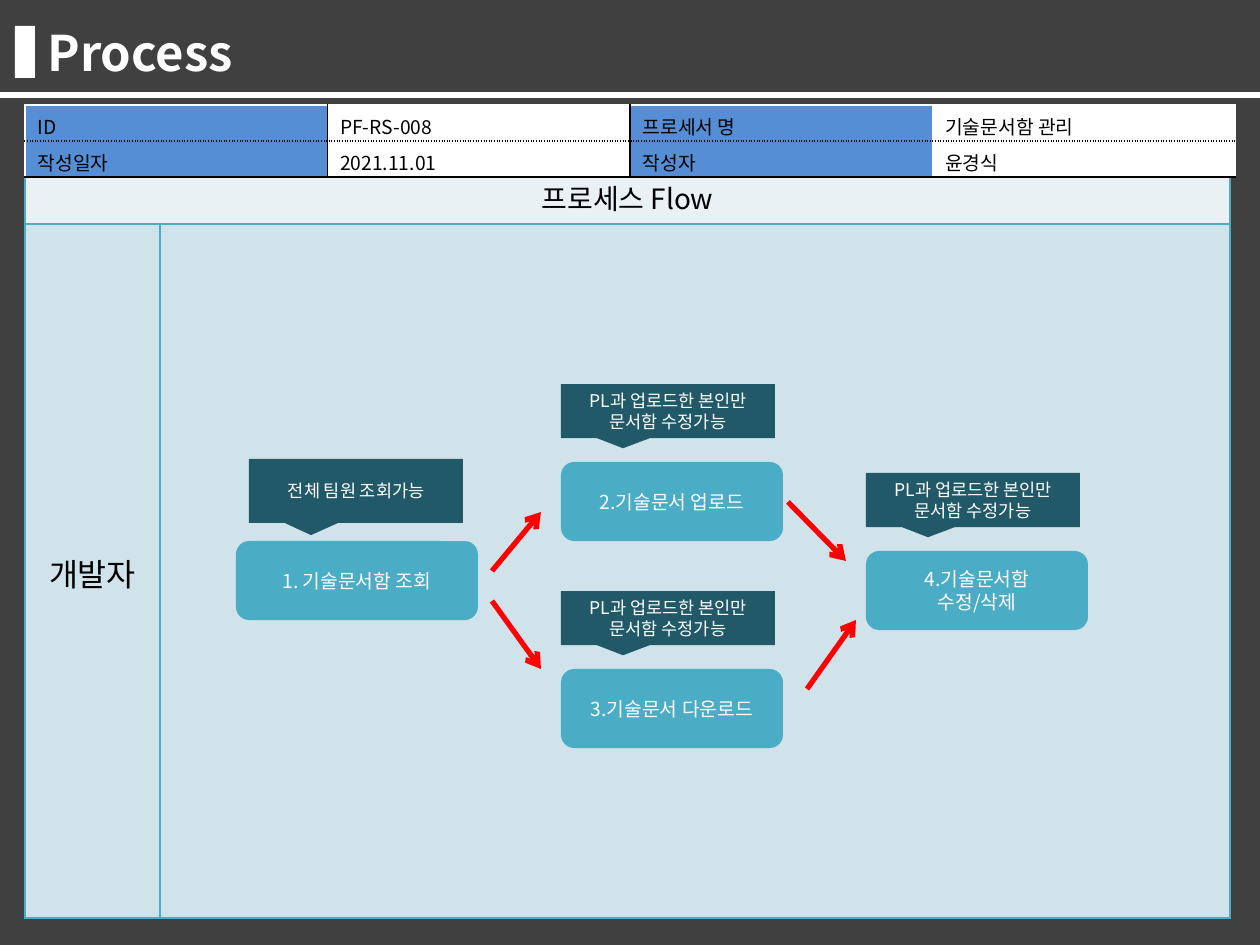
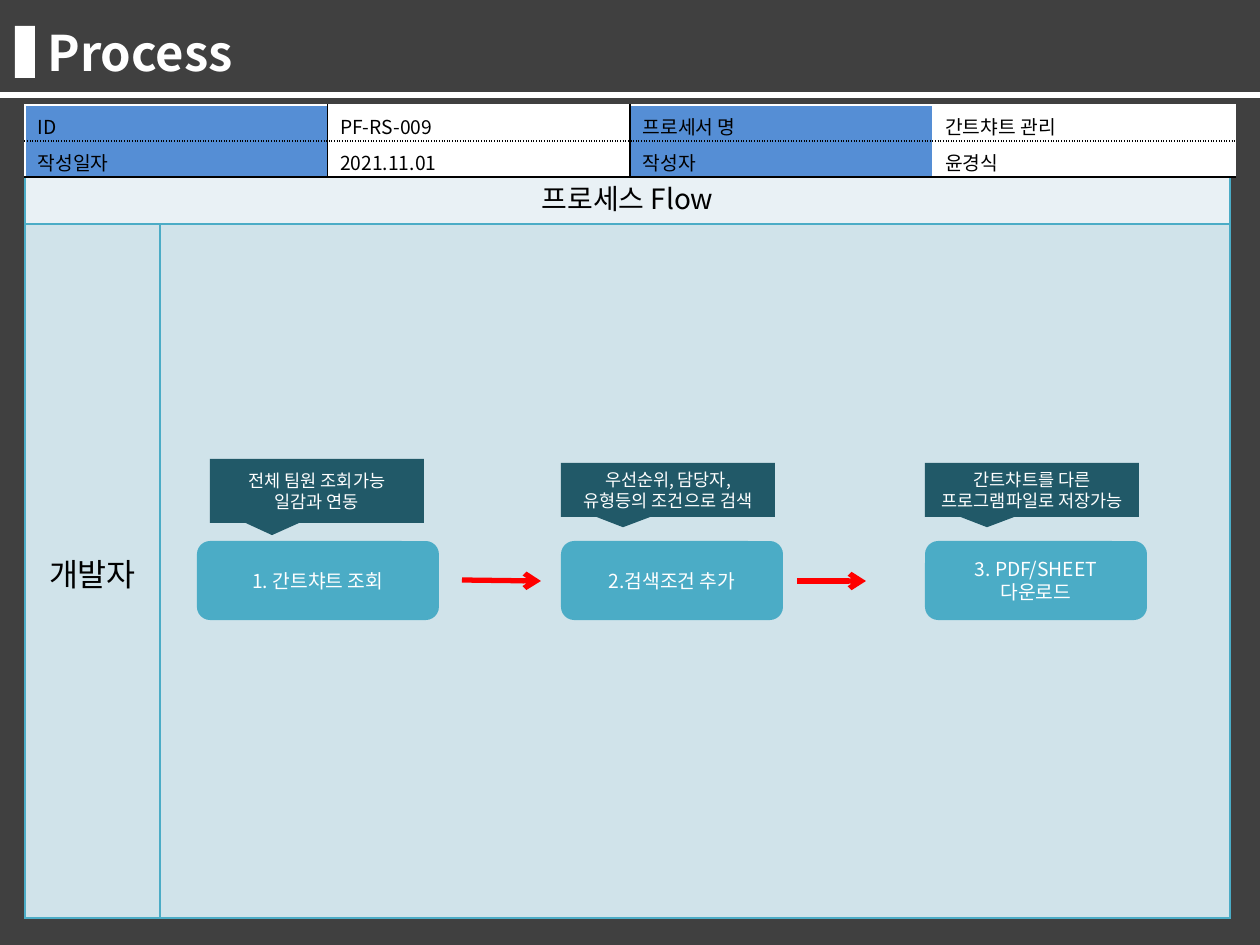
import dataclasses

import pptx
import pptx.dml.color
import pptx.enum.shapes
import pptx.enum.text
import pptx.oxml.ns
import pptx.util
from lxml import etree

RGB = pptx.dml.color.RGBColor
SHAPE = pptx.enum.shapes.MSO_SHAPE
ALIGN = pptx.enum.text.PP_ALIGN
ANCHOR = pptx.enum.text.MSO_ANCHOR
qn = pptx.oxml.ns.qn

FONT = "Noto Sans CJK KR"
WHITE = RGB(0xFF, 0xFF, 0xFF)
BLACK = RGB(0x00, 0x00, 0x00)
CHARCOAL = RGB(0x40, 0x40, 0x40)
LABEL_BLUE = RGB(0x55, 0x8E, 0xD5)
TEAL = RGB(0x4B, 0xAC, 0xC6)
DARK_TEAL = RGB(0x21, 0x59, 0x68)
HEAD_TINT = RGB(0xE9, 0xF1, 0xF5)
BODY_TINT = RGB(0xD0, 0xE3, 0xEA)
RED = RGB(0xFF, 0x00, 0x00)

EMU_PER_PIXEL = 914400 / 126
STEP_HEIGHT = 79


@dataclasses.dataclass(frozen=True)
class StepStyle:
    """Size of a step box and the place of its note above it."""
    width: int
    note_shift: int
    note_rise: int
    note_height: int


FIRST = StepStyle(242, 13, 82, 64)
LATER = StepStyle(222, 0, 78, 54)


@dataclasses.dataclass(frozen=True)
class Step:
    left: int
    top: int
    text: str
    note: str
    style: StepStyle = LATER


@dataclasses.dataclass(frozen=True)
class Arrow:
    start: tuple[int, int]
    end: tuple[int, int]


@dataclasses.dataclass(frozen=True)
class Process:
    code: str
    name: str
    steps: list[Step]
    arrows: list[Arrow]


@dataclasses.dataclass(frozen=True)
class Border:
    color: RGB
    dash: str = "solid"


EDITORS_ONLY = "PL과 업로드한 본인만 문서함 수정가능"
PROCESSES = [
    Process(
        "PF-RS-008", "기술문서함 관리",
        [
            Step(236, 541, "1. 기술문서함 조회", "전체 팀원 조회가능", FIRST),
            Step(866, 551, "4.기술문서함\n수정/삭제", EDITORS_ONLY),
            Step(561, 462, "2.기술문서 업로드", EDITORS_ONLY),
            Step(561, 669, "3.기술문서 다운로드", EDITORS_ONLY),
        ],
        [
            Arrow((492, 571), (541, 512)),
            Arrow((492, 601), (541, 669)),
            Arrow((788, 502), (846, 561)),
            Arrow((807, 689), (856, 620)),
        ],
    ),
    Process(
        "PF-RS-009", "간트챠트 관리",
        [
            Step(197, 541, "1. 간트챠트 조회", "전체 팀원 조회가능\n일감과 연동", FIRST),
            Step(925, 541, "3. PDF/SHEET\n다운로드", "간트챠트를 다른 프로그램파일로 저장가능"),
            Step(561, 541, "2.검색조건 추가", "우선순위, 담당자, 유형등의 조건으로 검색"),
        ],
        [Arrow((462, 580), (541, 581)), Arrow((797, 581), (866, 581))],
    ),
]


def px(pixels: float) -> int:
    return pptx.util.Emu(round(pixels * EMU_PER_PIXEL))


def write(frame, text: str, *, size: int, color: RGB = BLACK, bold: bool = False,
          align=ALIGN.CENTER) -> None:
    """Fill a text frame, one paragraph for each line."""
    for index, line in enumerate(text.split("\n")):
        para = frame.add_paragraph() if index else frame.paragraphs[0]
        para.alignment = align
        span = para.add_run()
        span.text = line
        span.font.size = pptx.util.Pt(size)
        span.font.bold = bold
        span.font.color.rgb = color
        span.font.name = FONT
        etree.SubElement(span._r.get_or_add_rPr(), qn("a:ea"), typeface=FONT)


def add_box(page, left: int, top: int, width: int, height: int, fill: RGB,
            kind=SHAPE.RECTANGLE):
    box = page.shapes.add_shape(kind, px(left), px(top), px(width), px(height))
    box.shadow.inherit = False
    box.fill.solid()
    box.fill.fore_color.rgb = fill
    box.line.fill.background()
    return box


def add_label_box(page, left: int, top: int, width: int, height: int, fill: RGB,
                  kind, text: str, size: int):
    box = add_box(page, left, top, width, height, fill, kind)
    box.text_frame.word_wrap = True
    box.text_frame.vertical_anchor = ANCHOR.MIDDLE
    write(box.text_frame, text, size=size, color=WHITE)
    return box


def add_plain_table(page, left: int, top: int, widths: list[float], heights: list[int]):
    table = page.shapes.add_table(
        len(heights), len(widths), px(left), px(top), px(sum(widths)), px(sum(heights))
    ).table
    table.first_row = False
    table.horz_banding = False
    for column, width in zip(table.columns, widths):
        column.width = px(width)
    for row, height in zip(table.rows, heights):
        row.height = px(height)
    return table


def format_cell(cell, fill: RGB, left: Border, right: Border, top: Border,
                bottom: Border) -> None:
    properties = cell._tc.get_or_add_tcPr()
    for side, border in zip("LRTB", (left, right, top, bottom)):
        line = etree.SubElement(properties, qn(f"a:ln{side}"), w="12700")
        paint = etree.SubElement(line, qn("a:solidFill"))
        etree.SubElement(paint, qn("a:srgbClr"), val=str(border.color))
        etree.SubElement(line, qn("a:prstDash"), val=border.dash)
    cell.fill.solid()
    cell.fill.fore_color.rgb = fill


# Parts shared by every page
def add_title_band(page) -> None:
    title = page.shapes.title
    backdrop = add_box(page, 0, 0, 1260, 945, CHARCOAL)
    title.element.addprevious(backdrop.element)
    title.left, title.top, title.width, title.height = px(35), px(16), px(1131), px(72)
    frame = title.text_frame
    frame.auto_size = pptx.enum.text.MSO_AUTO_SIZE.NONE
    frame.vertical_anchor = ANCHOR.MIDDLE
    frame.margin_top = frame.margin_bottom = 0
    write(frame, "Process", size=28, color=WHITE, bold=True, align=ALIGN.LEFT)
    add_box(page, 15, 26, 20, 52, WHITE)
    add_box(page, 0, 92, 1260, 6, WHITE)


def add_flow_table(page) -> None:
    table = add_plain_table(page, 25, 171, [135, 1070], [53, 694])
    edge = Border(TEAL)
    for row, fill in enumerate((HEAD_TINT, BODY_TINT)):
        for column in range(2):
            format_cell(table.cell(row, column), fill, edge, edge, edge, edge)
    heading, lane = table.cell(0, 0), table.cell(1, 0)
    heading.merge(table.cell(0, 1))
    write(heading.text_frame, "프로세스 Flow", size=16)
    lane.vertical_anchor = ANCHOR.MIDDLE
    lane.margin_top = px(10)
    write(lane.text_frame, "개발자", size=18)


def add_info_table(page, process: Process) -> None:
    rows = [
        ["ID", process.code, "프로세서 명", process.name],
        ["작성일자", "2021.11.01", "작성자", "윤경식"],
    ]
    table = add_plain_table(page, 25, 105, [302.5] * 4, [36, 36])
    white, black = Border(WHITE), Border(BLACK)
    across = [white, Border(BLACK, "sysDot"), black]
    down = [white, black, black, white, white]
    for row, texts in enumerate(rows):
        for column, text in enumerate(texts):
            cell = table.cell(row, column)
            format_cell(cell, WHITE if column % 2 else LABEL_BLUE,
                        down[column], down[column + 1], across[row], across[row + 1])
            cell.margin_top, cell.margin_bottom = px(7), 0
            write(cell.text_frame, text, size=11, align=ALIGN.LEFT)


# Parts of one process flow
def add_step(page, step: Step) -> None:
    style = step.style
    add_label_box(page, step.left, step.top, style.width, STEP_HEIGHT, TEAL,
                  SHAPE.ROUNDED_RECTANGLE, step.text, 11)
    note = add_label_box(page, step.left + style.note_shift, step.top - style.note_rise,
                         214, style.note_height, DARK_TEAL,
                         SHAPE.RECTANGULAR_CALLOUT, step.note, 10)
    note.adjustments[0], note.adjustments[1] = -0.21, 0.69


def add_arrow(page, arrow: Arrow) -> None:
    connector = page.shapes.add_connector(
        pptx.enum.shapes.MSO_CONNECTOR.STRAIGHT,
        *(px(value) for value in arrow.start + arrow.end),
    )
    connector.line.color.rgb = RED
    connector.line.width = pptx.util.Pt(3)
    properties = connector.element.spPr
    etree.SubElement(properties.find(qn("a:ln")), qn("a:tailEnd"), type="arrow")
    etree.SubElement(properties, qn("a:effectLst"))


def add_process_page(deck, process: Process) -> None:
    page = deck.slides.add_slide(deck.slide_layouts.get_by_name("Title Only"))
    add_title_band(page)
    add_flow_table(page)
    add_info_table(page, process)
    for step in process.steps:
        add_step(page, step)
    for arrow in process.arrows:
        add_arrow(page, arrow)


deck = pptx.Presentation()
deck.slide_width, deck.slide_height = px(1260), px(945)
for process in PROCESSES:
    add_process_page(deck, process)
deck.save("out.pptx")
